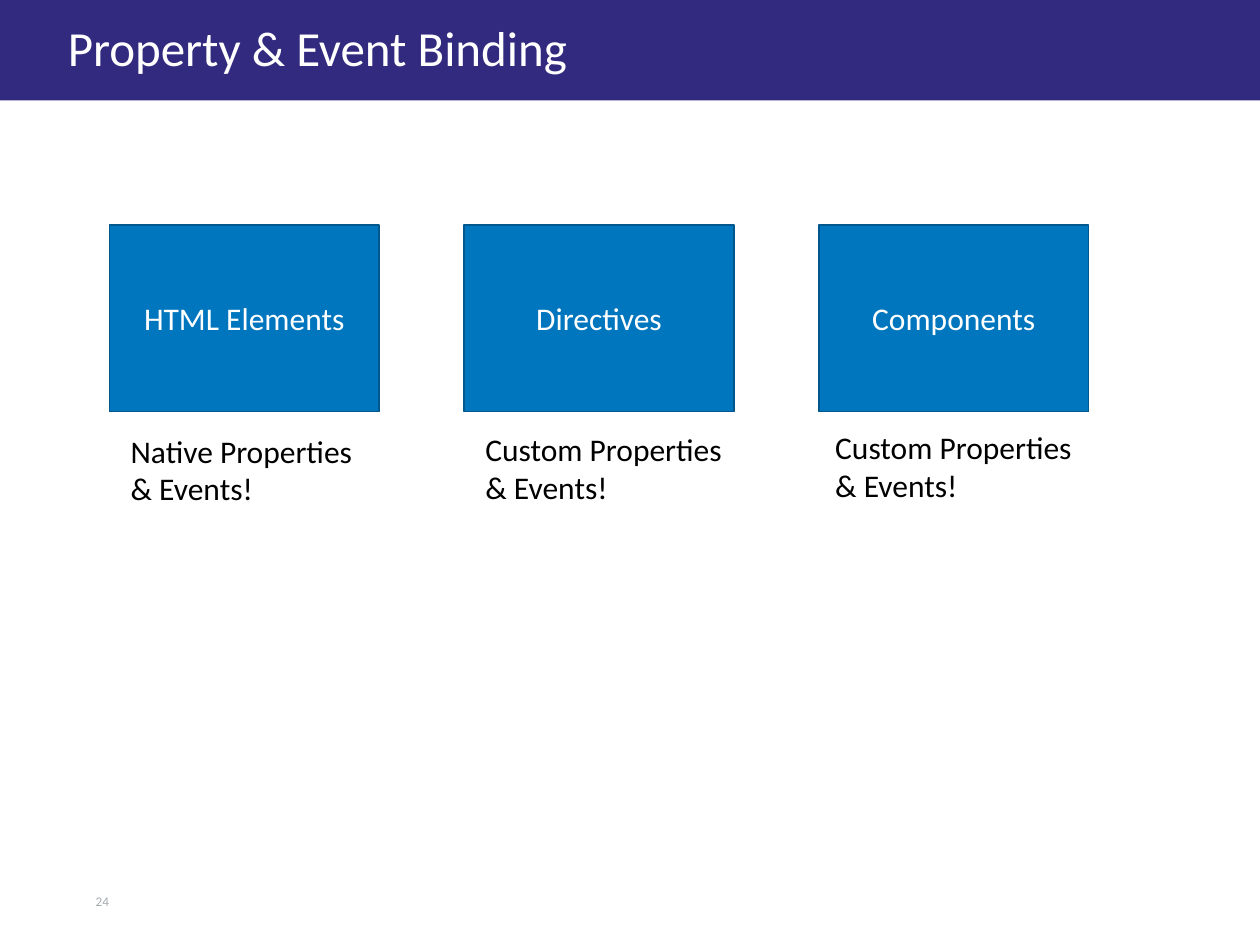
from pptx import Presentation
from pptx.dml.color import RGBColor
from pptx.enum.shapes import MSO_SHAPE
from pptx.enum.text import MSO_ANCHOR, PP_ALIGN
from pptx.util import Pt

RECTANGLE = MSO_SHAPE.RECTANGLE
TOP, MIDDLE = MSO_ANCHOR.TOP, MSO_ANCHOR.MIDDLE
LEFT, CENTER = PP_ALIGN.LEFT, PP_ALIGN.CENTER

FONT = "Calibri"
WHITE = RGBColor(0xFF, 0xFF, 0xFF)
BLACK = RGBColor(0x00, 0x00, 0x00)
INDIGO = RGBColor(0x32, 0x2A, 0x7E)
BLUE = RGBColor(0x00, 0x76, 0xBF)
DARK_BLUE = RGBColor(0x00, 0x57, 0x8D)
GREY = RGBColor(0xA5, 0xAC, 0xAF)

SLIDE_W, SLIDE_H = 720, 540
CARD_W, CARD_H = 154.1, 106.6
CARD_PITCH = 202.7

# Heading, caption, caption offset from the card's lower left corner
BINDING_TARGETS = [
    ("HTML Elements", "Native Properties & Events!", (5, 7.9)),
    ("Directives", "Custom Properties & Events!", (5, 7.1)),
    ("Components", "Custom Properties & Events!", (2.2, 5.7)),
]


def write(shape, text, size, color, anchor=TOP, align=LEFT, wrap=True):
    frame = shape.text_frame
    frame.word_wrap = wrap
    frame.vertical_anchor = anchor
    paragraph = frame.paragraphs[0]
    paragraph.alignment = align
    run = paragraph.add_run()
    run.text = text
    run.font.name = FONT
    run.font.size = Pt(size)
    run.font.color.rgb = color
    return paragraph


def add_text(slide, box, text, size, color, **layout):
    label = slide.shapes.add_textbox(*map(Pt, box))
    write(label, text, size, color, **layout)
    return label


def add_rectangle(slide, box, fill, line=None):
    rectangle = slide.shapes.add_shape(RECTANGLE, *map(Pt, box))
    rectangle.shadow.inherit = False
    rectangle.fill.solid()
    rectangle.fill.fore_color.rgb = fill
    if line is None:
        rectangle.line.fill.background()
    else:
        rectangle.line.color.rgb = line
        rectangle.line.width = Pt(1)
    return rectangle


def add_header(slide, box, title):
    left, top, width, height = box
    add_rectangle(slide, box, INDIGO)
    title_box = (left + 31.7, top + 7.9, width - 47.5, height - 15.1)
    heading = add_text(slide, title_box, title, 28, WHITE, anchor=MIDDLE)
    heading.text_frame.paragraphs[0].line_spacing = 0.9


def add_binding_target(slide, box, heading, caption, caption_offset):
    left, top, width, height = box
    card = add_rectangle(slide, box, BLUE, DARK_BLUE)
    write(card, heading, 18, WHITE, anchor=MIDDLE, align=CENTER)
    dx, dy = caption_offset
    caption_box = (left + dx, top + height + dy, width, 51)
    add_text(slide, caption_box, caption, 18, BLACK)


def add_page_number(slide, box, number):
    label = add_text(slide, box, number, 7.5, GREY, anchor=MIDDLE, wrap=False)
    frame = label.text_frame
    frame.margin_left = frame.margin_right = Pt(5)
    frame.margin_top = frame.margin_bottom = Pt(2.9)


presentation = Presentation()
presentation.slide_width, presentation.slide_height = Pt(SLIDE_W), Pt(SLIDE_H)
slide = presentation.slides.add_slide(presentation.slide_layouts[6])

# Footer and header
add_page_number(slide, (49.7, 500.6, 20, 28.8), "24")
add_header(slide, (0, 0, SLIDE_W, 57.4), "Property & Event Binding")

# Row of binding targets
for column, target in enumerate(BINDING_TARGETS):
    card_box = (62.6 + column * CARD_PITCH, 128.6, CARD_W, CARD_H)
    add_binding_target(slide, card_box, *target)

presentation.save("out.pptx")
